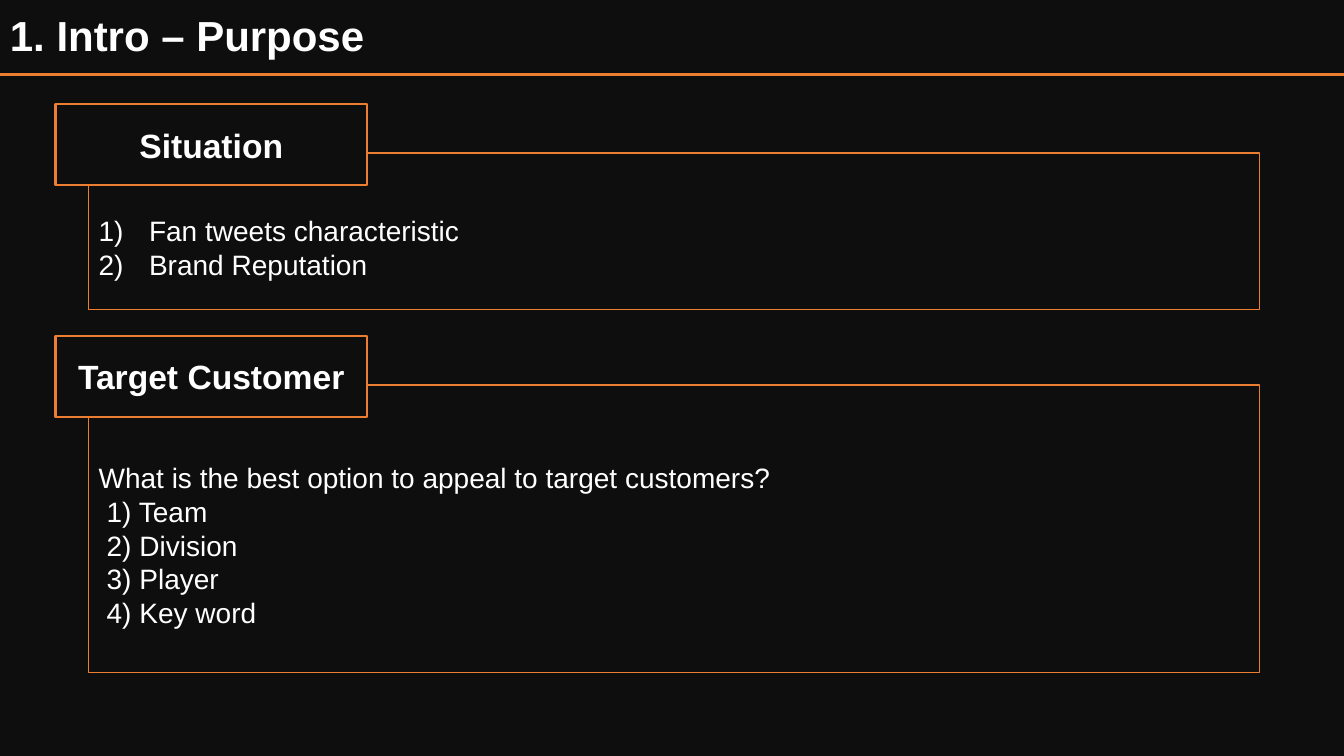
import pptx
import pptx.util
import pptx.dml.color
import pptx.enum.shapes
import pptx.enum.text
import pptx.oxml.ns
import lxml.etree

ALIGN = pptx.enum.text.PP_ALIGN
RECT = pptx.enum.shapes.MSO_SHAPE.RECTANGLE
WIDE, HIGH = pptx.util.Inches(13.33), pptx.util.Inches(7.5)

THEME = {
    "back": "0E0E0E", "line": "ED7D31", "text": "FFFFFF", "font": "Arial",
    "title": 30, "label": 24, "body": 20,
    "rule": 2.25, "frame": 1, "tab": 1.5,
}

# Shares of the slide, in percent: left and width across, drop and height down
TAB = {"left": 4.13, "width": 23.18, "height": 10.8}
FRAME = {"left": 6.6, "width": 87.1, "drop": 6.53}
RULE = 9.87

# Each section: label, top, frame height, lines as (text, margin, numbered)
PARTS = [
    ("Situation", 13.73, 20.67, [
        ("Fan tweets characteristic", 0.5, True),
        ("Brand Reputation", 0.5, True),
    ]),
    ("Target Customer", 44.4, 38, [
        ("What is the best option to appeal to target customers?", 0, False),
        ("1) Team", 0.08, False),
        ("2) Division", 0.08, False),
        ("3) Player", 0.08, False),
        ("4) Key word", 0.08, False),
    ]),
]


def across(share):
    return round(WIDE * share / 100)


def down(share):
    return round(HIGH * share / 100)


def place(left, top, width, height):
    return across(left), down(top), across(width), down(height)


def color(name):
    return pptx.dml.color.RGBColor.from_string(THEME[name])


def apply(item, values):
    for name, value in values.items():
        setattr(item, name, value)


def stroke(line, size):
    line.color.rgb = color("line")
    line.width = pptx.util.Pt(THEME[size])


def write(para, text, size, align, bold=False):
    para.text = text
    para.alignment = align
    apply(para.font, {"name": THEME["font"], "bold": bold,
                      "size": pptx.util.Pt(THEME[size])})
    para.font.color.rgb = color("text")


def indent(para, margin, number):
    props = para._p.get_or_add_pPr()
    props.set("marL", str(pptx.util.Inches(margin)))
    if number:
        props.set("indent", str(-pptx.util.Inches(margin)))
        lxml.etree.SubElement(props, pptx.oxml.ns.qn("a:buAutoNum"),
                              type="arabicParenR")


def setup(frame):
    apply(frame, {"word_wrap": True,
                  "vertical_anchor": pptx.enum.text.MSO_ANCHOR.MIDDLE})


def add_box(group, spot, size, fill=None):
    box = group.shapes.add_shape(RECT, *spot)
    box.shadow.inherit = False
    if fill:
        box.fill.solid()
        box.fill.fore_color.rgb = color(fill)
    else:
        box.fill.background()
    stroke(box.line, size)
    setup(box.text_frame)
    return box.text_frame


def add_title(slide, text):
    box = slide.shapes.add_textbox(*place(0, 0.27, 100, 9.6))
    setup(box.text_frame)
    para = box.text_frame.paragraphs[0]
    write(para, text, "title", ALIGN.LEFT, True)
    para.line_spacing = 0.9


def add_rule(slide):
    rule = slide.shapes.add_connector(
        pptx.enum.shapes.MSO_CONNECTOR.STRAIGHT,
        0, down(RULE), WIDE, down(RULE))
    stroke(rule.line, "rule")
    lxml.etree.SubElement(rule._element.spPr,
                          pptx.oxml.ns.qn("a:effectLst"))


def add_part(slide, label, top, height, lines):
    group = slide.shapes.add_group_shape()
    # Frame with its lines, kept clear of the tab by a deep top inset
    body = add_box(group, place(FRAME["left"], top + FRAME["drop"],
                                FRAME["width"], height), "frame")
    body.margin_top = pptx.util.Inches(0.37)
    for count, (text, margin, number) in enumerate(lines):
        para = body.add_paragraph() if count else body.paragraphs[0]
        indent(para, margin, number)
        write(para, text, "body", ALIGN.JUSTIFY)
    # Tab over the frame's corner
    tab = add_box(group, place(TAB["left"], top, TAB["width"],
                               TAB["height"]), "tab", "back")
    write(tab.paragraphs[0], label, "label", ALIGN.CENTER, True)


def main():
    deck = pptx.Presentation()
    apply(deck, {"slide_width": WIDE, "slide_height": HIGH})
    slide = deck.slides.add_slide(deck.slide_layouts[6])
    slide.background.fill.solid()
    slide.background.fill.fore_color.rgb = color("back")
    # Heading
    add_title(slide, "1. Intro – Purpose")
    add_rule(slide)
    # Sections
    for part in PARTS:
        add_part(slide, *part)
    deck.save("out.pptx")


if __name__ == "__main__":
    main()
